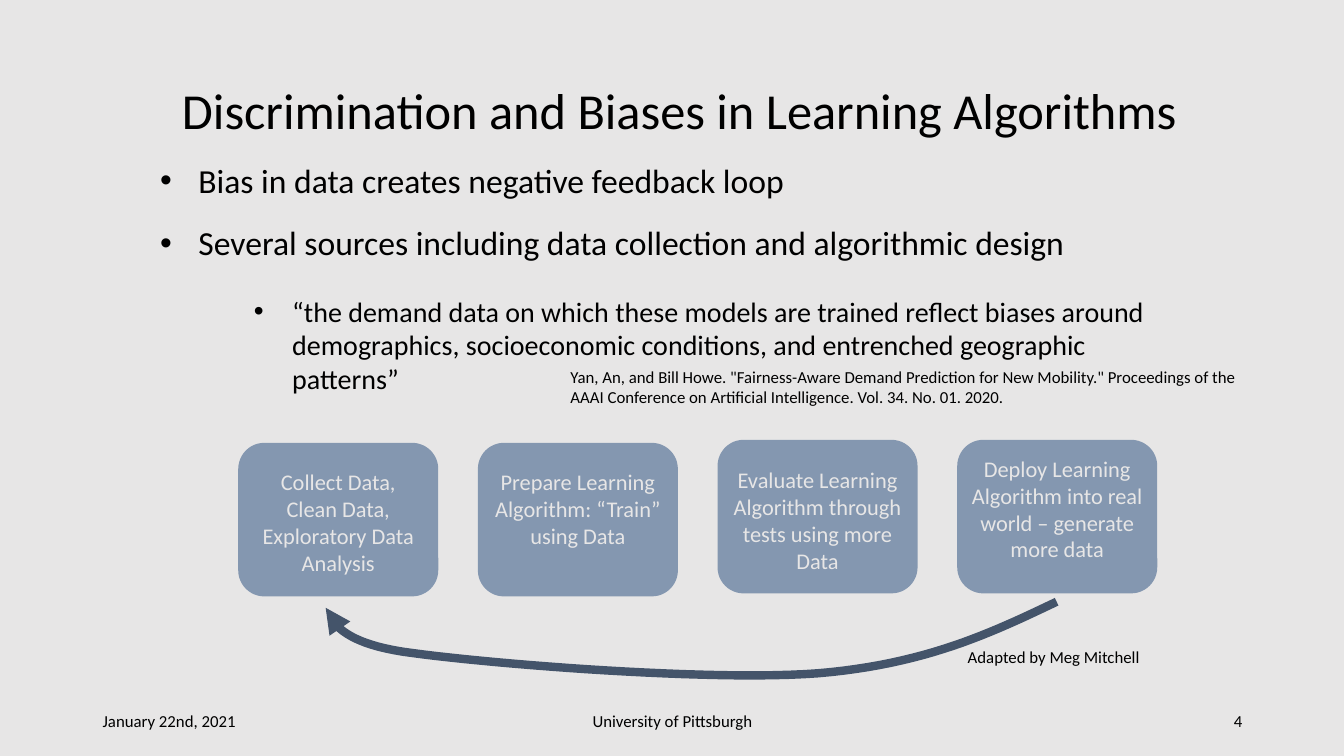
from lxml import etree
from pptx import Presentation
from pptx.dml.color import RGBColor
from pptx.enum.shapes import MSO_SHAPE
from pptx.enum.text import MSO_ANCHOR, PP_ALIGN
from pptx.oxml.ns import qn
from pptx.util import Inches, Pt

ROUNDED = MSO_SHAPE.ROUNDED_RECTANGLE
TOP, MIDDLE, BOTTOM = MSO_ANCHOR.TOP, MSO_ANCHOR.MIDDLE, MSO_ANCHOR.BOTTOM
LEFT, CENTER, RIGHT = PP_ALIGN.LEFT, PP_ALIGN.CENTER, PP_ALIGN.RIGHT

BLACK = RGBColor(0x00, 0x00, 0x00)
PALE = RGBColor(0xE7, 0xE6, 0xE6)
STEEL = RGBColor(0x84, 0x97, 0xB0)
NAVY = RGBColor(0x44, 0x54, 0x6A)
FONT = "Calibri"

TITLE = "Discrimination and Biases in Learning Algorithms"
BULLETS = [
    ("Bias in data creates negative feedback loop", (1.49, 1.58, 10.9, 0.57), 24, 0.9),
    ("Several sources including data collection and algorithmic design",
     (1.49, 2.2, 10.9, 0.57), 24, 0.9),
    ("“the demand data on which these models are trained reflect biases around "
     "demographics, socioeconomic conditions, and entrenched geographic patterns”",
     (2.42, 2.87, 9.06, 1.11), 20, 1.0),
]
NOTES = [
    ("Adapted by Meg Mitchell", (9.5, 6.37, 2.27, 0.3), LEFT, TOP),
    ("Yan, An, and Bill Howe. \"Fairness-Aware Demand Prediction for New Mobility.\" "
     "Proceedings of the AAAI Conference on Artificial Intelligence. Vol. 34. No. 01. 2020.",
     (5.56, 3.59, 7.08, 0.5), LEFT, TOP),
    ("January 22nd, 2021", (0.92, 6.95, 3, 0.4), LEFT, MIDDLE),
    ("University of Pittsburgh", (4.42, 6.95, 4.5, 0.4), CENTER, MIDDLE),
    ("4", (9.42, 6.95, 3, 0.4), RIGHT, MIDDLE),
]
STAGES = [
    ("Collect Data, Clean Data, Exploratory Data Analysis", 4.4, 0.15, 0.17),
    ("Prepare Learning Algorithm: “Train” using Data", 4.4, 0.03, 0.17),
    ("Evaluate Learning Algorithm through tests using more Data", 4.37, 0.03, 0.18),
    ("Deploy Learning Algorithm into real world – generate more data", 4.37, 0.03, 0.07),
]
STAGE_LEFT, STAGE_STEP, STAGE_WIDTH, STAGE_HEIGHT = 2.37, 2.377, 1.97, 1.51
LOOP_START = (10.48, 5.97)
LOOP_CURVES = [
    ((9.83, 6.28), (9.18, 6.59), (8.11, 6.68)),
    ((7.05, 6.76), (4.91, 6.59), (4.1, 6.48)),
    ((3.28, 6.38), (3.28, 6.09), (3.23, 6.03)),
]
CURVE_STEPS = 24


def write(frame, text, size, color=BLACK, align=LEFT, anchor=TOP, spacing=1.0):
    frame.word_wrap = True
    frame.vertical_anchor = anchor
    frame.text = text
    paragraph = frame.paragraphs[0]
    paragraph.alignment = align
    paragraph.line_spacing = spacing
    font = paragraph.runs[0].font
    font.name, font.size, font.color.rgb = FONT, Pt(size), color
    return paragraph


def add_text(slide, box, *args, **options):
    frame = slide.shapes.add_textbox(*map(Inches, box)).text_frame
    return write(frame, *args, **options)


def add_bullet(paragraph):
    properties = paragraph._p.get_or_add_pPr()
    properties.set("marL", str(Inches(0.38)))
    properties.set("indent", str(Inches(-0.38)))
    etree.SubElement(properties, qn("a:buFont")).set("typeface", "Arial")
    etree.SubElement(properties, qn("a:buChar")).set("char", "•")


def add_stage(slide, index, text, top, side, inset):
    box = (STAGE_LEFT + index * STAGE_STEP, top, STAGE_WIDTH, STAGE_HEIGHT)
    stage = slide.shapes.add_shape(ROUNDED, *map(Inches, box))
    stage.shadow.inherit = False
    stage.fill.solid()
    stage.fill.fore_color.rgb = STEEL
    stage.line.color.rgb = STEEL
    stage.line.width = Pt(1)
    frame = stage.text_frame
    frame.margin_left = frame.margin_right = Inches(side)
    frame.margin_top, frame.margin_bottom = Inches(inset), 0
    write(frame, text, 16, PALE, CENTER)


def curve_points(start, curves):
    for first, second, end in curves:
        for step in range(1, CURVE_STEPS + 1):
            t = step / CURVE_STEPS
            weights = ((1 - t) ** 3, 3 * t * (1 - t) ** 2, 3 * t * t * (1 - t), t ** 3)
            corners = (start, first, second, end)
            yield tuple(Inches(sum(w * c[axis] for w, c in zip(weights, corners)))
                        for axis in (0, 1))
        start = end


def add_feedback_loop(slide):
    builder = slide.shapes.build_freeform(*map(Inches, LOOP_START))
    builder.add_line_segments(curve_points(LOOP_START, LOOP_CURVES), close=False)
    loop = builder.convert_to_shape()
    loop.shadow.inherit = False
    loop.fill.background()
    loop.line.color.rgb = NAVY
    loop.line.width = Pt(6)
    outline = loop.line._get_or_add_ln()
    etree.SubElement(outline, qn("a:round"))
    etree.SubElement(outline, qn("a:tailEnd")).set("type", "triangle")


def main():
    deck = Presentation()
    deck.slide_width, deck.slide_height = Inches(13.33), Inches(7.5)
    slide = deck.slides.add_slide(deck.slide_layouts[5])
    slide.background.fill.solid()
    slide.background.fill.fore_color.rgb = PALE

    title = slide.shapes.title
    title.left, title.top, title.width, title.height = map(Inches, (0.92, 0.55, 11.64, 0.89))
    write(title.text_frame, TITLE, 36, align=CENTER, anchor=BOTTOM, spacing=0.9)

    for text, box, size, spacing in BULLETS:
        add_bullet(add_text(slide, box, text, size, spacing=spacing))
    for index, stage in enumerate(STAGES):
        add_stage(slide, index, *stage)
    add_feedback_loop(slide)
    for text, box, align, anchor in NOTES:
        add_text(slide, box, text, 12, align=align, anchor=anchor)

    deck.save("out.pptx")


if __name__ == "__main__":
    main()
